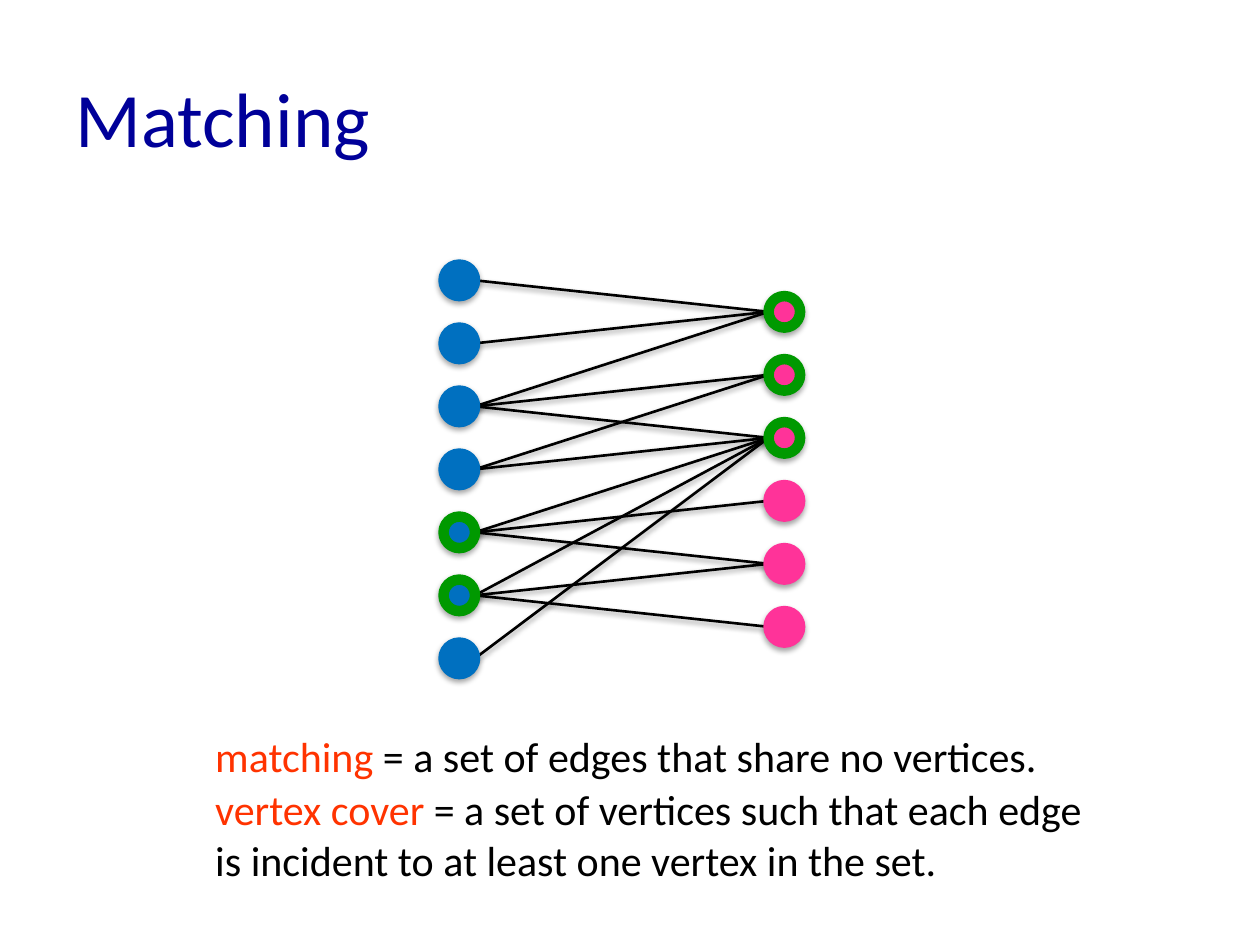
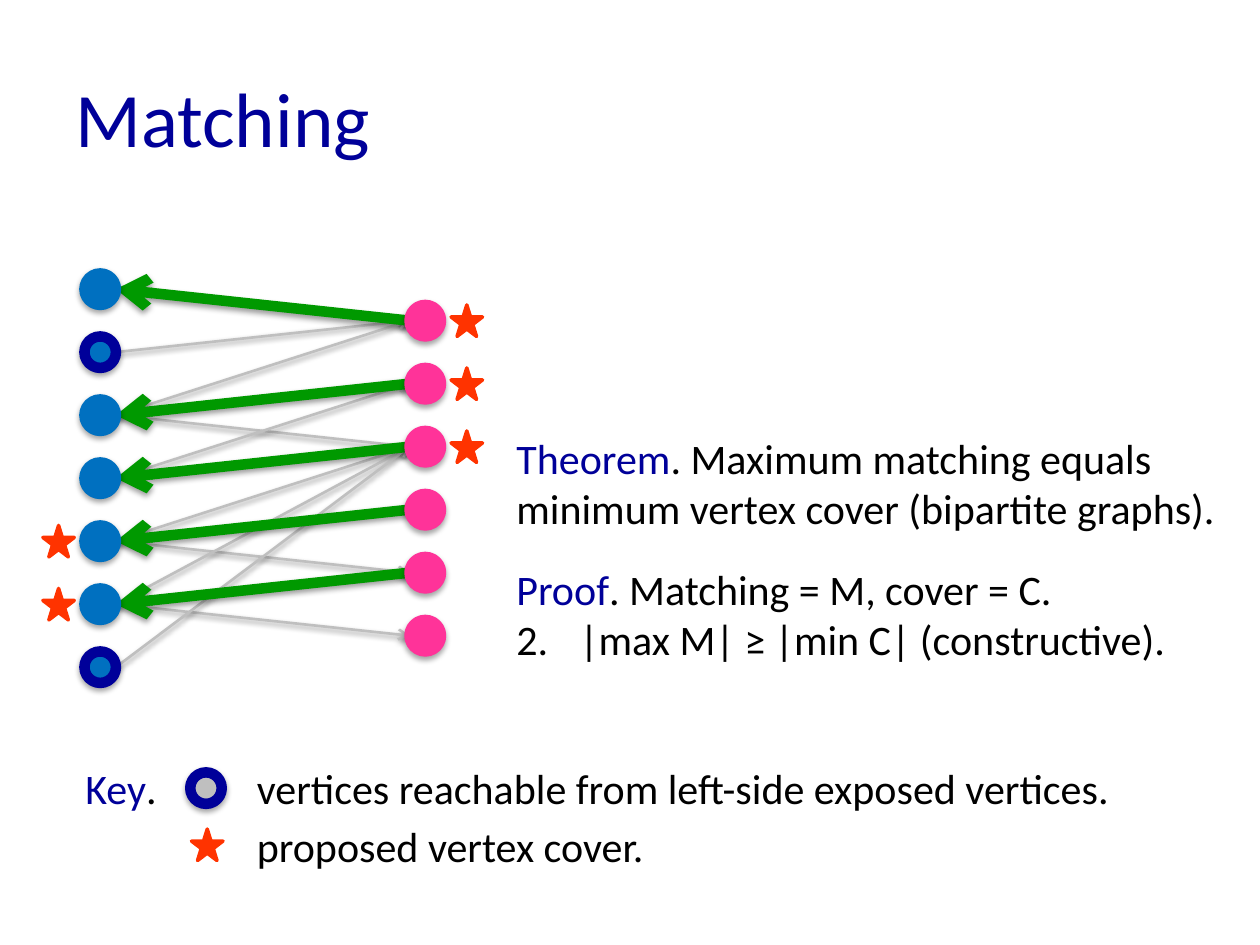
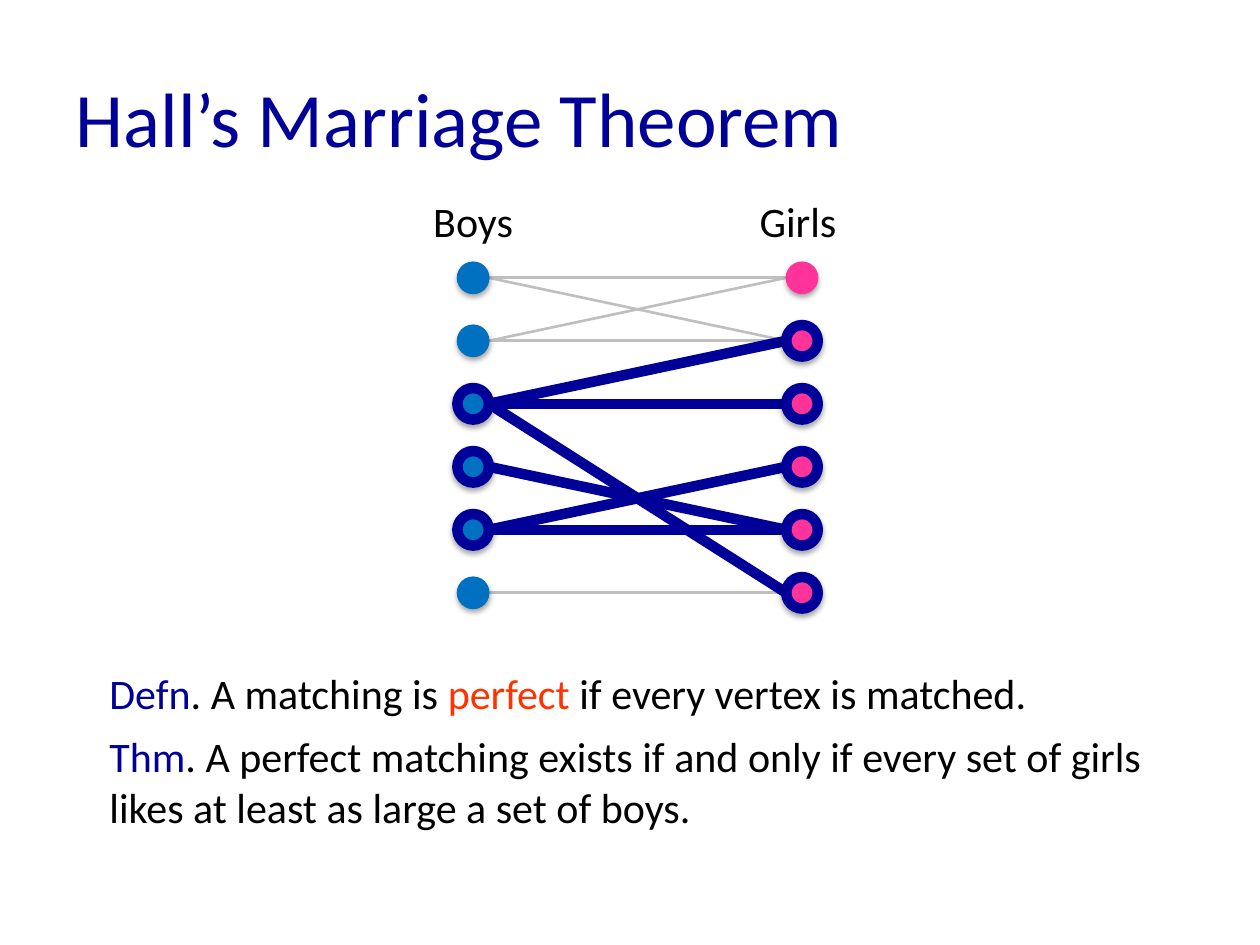
from dataclasses import dataclass

from lxml.etree import SubElement
from pptx import Presentation
from pptx.dml.color import RGBColor
from pptx.enum.shapes import MSO_CONNECTOR, MSO_SHAPE
from pptx.enum.text import MSO_ANCHOR, MSO_AUTO_SIZE, PP_ALIGN
from pptx.oxml.ns import qn
from pptx.util import Inches, Pt

NAVY = RGBColor(0x00, 0x00, 0x99)
BLUE = RGBColor(0x00, 0x70, 0xC0)
PINK = RGBColor(0xFF, 0x33, 0x99)
GREEN = RGBColor(0x00, 0x99, 0x00)
RED = RGBColor(0xFF, 0x33, 0x00)
GREY = RGBColor(0xBF, 0xBF, 0xBF)
BLACK = RGBColor(0x00, 0x00, 0x00)

FONT = "Calibri"
TITLE_SIZE = 44
BODY_SIZE = 24
VERTEX_SIZE = 0.25
ROW_STEP = 0.5
STAR_GAP = 0.08
THIN, THICK, HAIRLINE = 1.5, 6, 0.75
TITLE_ONLY_LAYOUT = 5

Run = tuple[str, RGBColor]
Pair = tuple[int, int]


@dataclass(frozen=True)
class Column:
    """One side of a bipartite graph; rims maps a row to its highlight colour."""
    left: float
    top: float
    count: int
    fill: RGBColor
    rims: dict[int, RGBColor]
    plain_rim_width: float = THICK

    def row_top(self, row: int) -> float:
        return self.top + ROW_STEP * row

    def row_middle(self, row: int) -> float:
        return self.row_top(row) + VERTEX_SIZE / 2


@dataclass(frozen=True)
class EdgeStyle:
    color: RGBColor
    width: float
    arrow: str = ""  # "headEnd" points left, "tailEnd" points right
    shadow: bool = True


MATCHING = [(0, 0), (3, 2), (5, 4), (4, 3), (2, 1)]
UNMATCHED = [(1, 0), (2, 0), (4, 2), (5, 5), (3, 1), (4, 4), (5, 2), (6, 2)]
UNDIRECTED = [(2, 2)]


def add_shadow(properties, distance: int, opacity: int) -> None:
    effects = properties.find(qn("a:effectLst"))
    shadow = SubElement(effects, qn("a:outerShdw"), blurRad="40000",
                        dist=str(distance), dir="5400000", rotWithShape="0")
    color = SubElement(shadow, qn("a:srgbClr"), val="000000")
    SubElement(color, qn("a:alpha"), val=str(opacity * 1000))


def add_marker(slide, kind: MSO_SHAPE, left: float, top: float,
               fill: RGBColor, rim: RGBColor, rim_width: float):
    shape = slide.shapes.add_shape(kind, Inches(left), Inches(top),
                                   Inches(VERTEX_SIZE), Inches(VERTEX_SIZE))
    shape.fill.solid()
    shape.fill.fore_color.rgb = fill
    shape.line.color.rgb = rim
    shape.line.width = Pt(rim_width)
    shape.shadow.inherit = False
    return shape


def add_vertex(slide, left: float, top: float, fill: RGBColor,
               rim: RGBColor, rim_width: float = THICK) -> None:
    shape = add_marker(slide, MSO_SHAPE.OVAL, left, top, fill, rim, rim_width)
    add_shadow(shape.element.spPr, 23000, 35)


def add_star(slide, left: float, top: float) -> None:
    add_marker(slide, MSO_SHAPE.STAR_5_POINT, left, top, RED, RED, 2)


def add_column(slide, column: Column) -> None:
    for row in range(column.count):
        highlighted = row in column.rims
        add_vertex(slide, column.left, column.row_top(row), column.fill,
                   column.rims.get(row, column.fill),
                   THICK if highlighted else column.plain_rim_width)


def add_edges(slide, left: Column, right: Column, pairs: list[Pair],
              style: EdgeStyle) -> None:
    for left_row, right_row in pairs:
        edge = slide.shapes.add_connector(
            MSO_CONNECTOR.STRAIGHT,
            Inches(left.left + VERTEX_SIZE), Inches(left.row_middle(left_row)),
            Inches(right.left), Inches(right.row_middle(right_row)))
        edge.line.color.rgb = style.color
        edge.line.width = Pt(style.width)
        properties = edge.element.spPr
        if style.arrow:
            SubElement(properties.find(qn("a:ln")), qn("a:" + style.arrow), type="arrow")
        SubElement(properties, qn("a:effectLst"))
        if style.shadow:
            add_shadow(properties, 20000, 38)


def add_run(paragraph, text: str, color: RGBColor, size: int) -> None:
    run = paragraph.add_run()
    run.text = text
    run.font.name = FONT
    run.font.size = Pt(size)
    run.font.color.rgb = color


def add_text(slide, left: float, top: float, width: float, height: float,
             *paragraphs: list[Run], wrap: bool = False):
    """Add a text box; a newline within a run becomes a line break."""
    box = slide.shapes.add_textbox(Inches(left), Inches(top), Inches(width), Inches(height))
    frame = box.text_frame
    frame.word_wrap = wrap
    frame.auto_size = MSO_AUTO_SIZE.SHAPE_TO_FIT_TEXT
    for index, runs in enumerate(paragraphs):
        paragraph = frame.add_paragraph() if index else frame.paragraphs[0]
        for text, color in runs:
            for line_index, line in enumerate(text.split("\n")):
                if line_index:
                    paragraph.add_line_break()
                add_run(paragraph, line, color, BODY_SIZE)
    return box


def number_paragraph(paragraph, start: int) -> None:
    properties = paragraph._p.get_or_add_pPr()
    properties.set("marL", str(Inches(0.5)))
    properties.set("indent", str(-Inches(0.5)))
    SubElement(properties, qn("a:buFont"), typeface="+mj-lt")
    SubElement(properties, qn("a:buAutoNum"), type="arabicPeriod", startAt=str(start))


def add_titled_slide(presentation, text: str):
    slide = presentation.slides.add_slide(presentation.slide_layouts[TITLE_ONLY_LAYOUT])
    title = slide.shapes.title
    title.left, title.top = Inches(0.5), Inches(0.3)
    title.width, title.height = Inches(9), Inches(1.25)
    title.text_frame.vertical_anchor = MSO_ANCHOR.MIDDLE
    paragraph = title.text_frame.paragraphs[0]
    paragraph.alignment = PP_ALIGN.LEFT
    add_run(paragraph, text, NAVY, TITLE_SIZE)
    return slide


def build_definitions(presentation) -> None:
    slide = add_titled_slide(presentation, "Matching")
    left = Column(3.52, 2.1, 7, BLUE, dict.fromkeys([4, 5], GREEN))
    right = Column(6.1, 2.35, 6, PINK, dict.fromkeys([0, 1, 2], GREEN))
    add_edges(slide, left, right, UNMATCHED + UNDIRECTED + MATCHING, EdgeStyle(BLACK, THIN))
    add_text(slide, 1.61, 5.75, 6.78, 0.5,
             [("matching", RED), (" = a set of edges that share no vertices.", BLACK)])
    add_text(slide, 1.61, 6.17, 7.22, 0.91,
             [("vertex cover ", RED),
              ("= a set of vertices such that each edge \n"
               "is incident to at least one vertex in the set.", BLACK)])
    add_column(slide, left)
    add_column(slide, right)


def build_proof(presentation) -> None:
    slide = add_titled_slide(presentation, "Matching")
    left = Column(0.67, 2.17, 7, BLUE, dict.fromkeys([1, 6], NAVY))
    right = Column(3.25, 2.42, 6, PINK, {})
    add_text(slide, 4, 3.38, 5.85, 0.91,
             [("Theorem", NAVY),
              (". Maximum matching equals minimum vertex cover (bipartite graphs).", BLACK)],
             wrap=True)
    add_edges(slide, left, right, UNDIRECTED, EdgeStyle(GREY, THIN))
    add_edges(slide, left, right, UNMATCHED, EdgeStyle(GREY, THIN, "tailEnd"))
    add_edges(slide, left, right, MATCHING, EdgeStyle(GREEN, THICK, "headEnd"))
    add_column(slide, left)
    add_column(slide, right)

    proof = add_text(slide, 4, 4.42, 5.56, 0.91,
                     [("Proof", NAVY), (". Matching = M, cover = C.", BLACK)],
                     [("|max M| ≥ |min C| (constructive).", BLACK)], wrap=True)
    number_paragraph(proof.text_frame.paragraphs[1], start=2)

    star_offset = VERTEX_SIZE + STAR_GAP
    for row in (4, 5):
        add_star(slide, left.left - star_offset, left.row_top(row))
    for row in (0, 1, 2):
        add_star(slide, right.left + star_offset, right.row_top(row))

    add_text(slide, 0.58, 6, 0.83, 0.5, [("Key", NAVY), (".", BLACK)])
    add_vertex(slide, 1.51, 6.13, GREY, NAVY)
    add_text(slide, 1.94, 6, 7.08, 0.5,
             [("vertices reachable from left-side exposed vertices.", BLACK)])
    add_star(slide, 1.52, 6.58)
    add_text(slide, 1.94, 6.46, 3.3, 0.5, [("proposed vertex cover.", BLACK)])


def build_marriage_theorem(presentation) -> None:
    slide = add_titled_slide(presentation, "Hall’s Marriage Theorem")
    boys = Column(3.63, 2.08, 6, BLUE, dict.fromkeys([2, 3, 4], NAVY), HAIRLINE)
    girls = Column(6.24, 2.08, 6, PINK, dict.fromkeys(range(1, 6), NAVY), HAIRLINE)
    add_edges(slide, boys, girls, [(0, 1), (1, 0), (1, 1), (5, 5), (0, 0)],
              EdgeStyle(GREY, THIN, shadow=False))
    add_column(slide, boys)
    add_edges(slide, boys, girls, [(4, 4), (2, 5), (2, 1), (2, 2), (3, 4), (4, 3)],
              EdgeStyle(NAVY, THICK, shadow=False))
    add_column(slide, girls)
    add_text(slide, 3.34, 1.5, 0.84, 0.5, [("Boys", BLACK)])
    add_text(slide, 5.93, 1.5, 0.82, 0.5, [("Girls", BLACK)])
    add_text(slide, 0.77, 5.25, 7.55, 0.5,
             [("Defn", NAVY), (". A matching is ", BLACK), ("perfect", RED),
              (" if every vertex is matched.", BLACK)])
    add_text(slide, 0.77, 5.75, 8.47, 0.91,
             [("Thm", NAVY),
              (". A perfect matching exists if and only if every set of girls\n"
               "likes at least as large a set of boys.", BLACK)])


def main() -> None:
    presentation = Presentation()
    presentation.slide_width, presentation.slide_height = Inches(10), Inches(7.5)
    build_definitions(presentation)
    build_proof(presentation)
    build_marriage_theorem(presentation)
    presentation.save("out.pptx")


if __name__ == "__main__":
    main()
